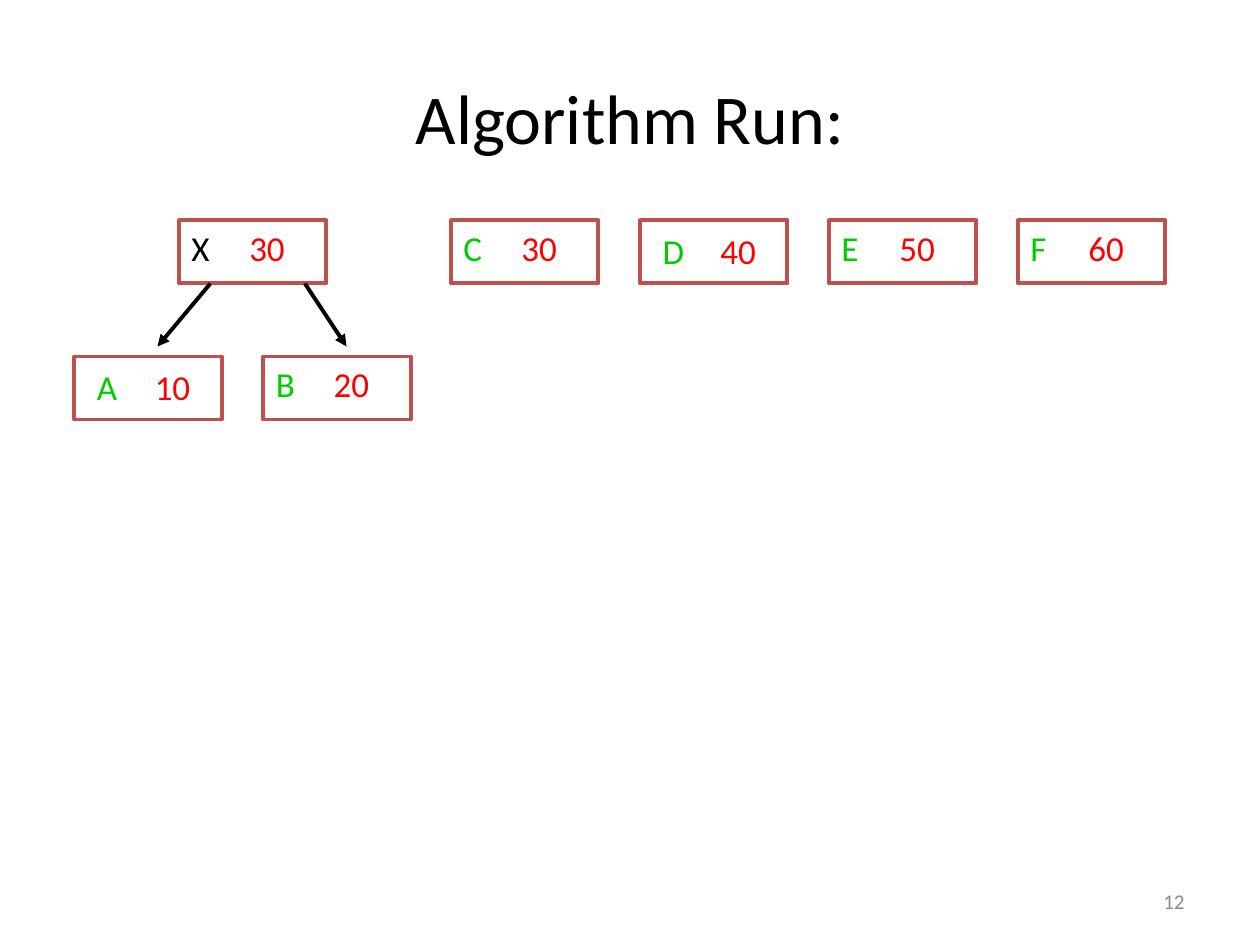
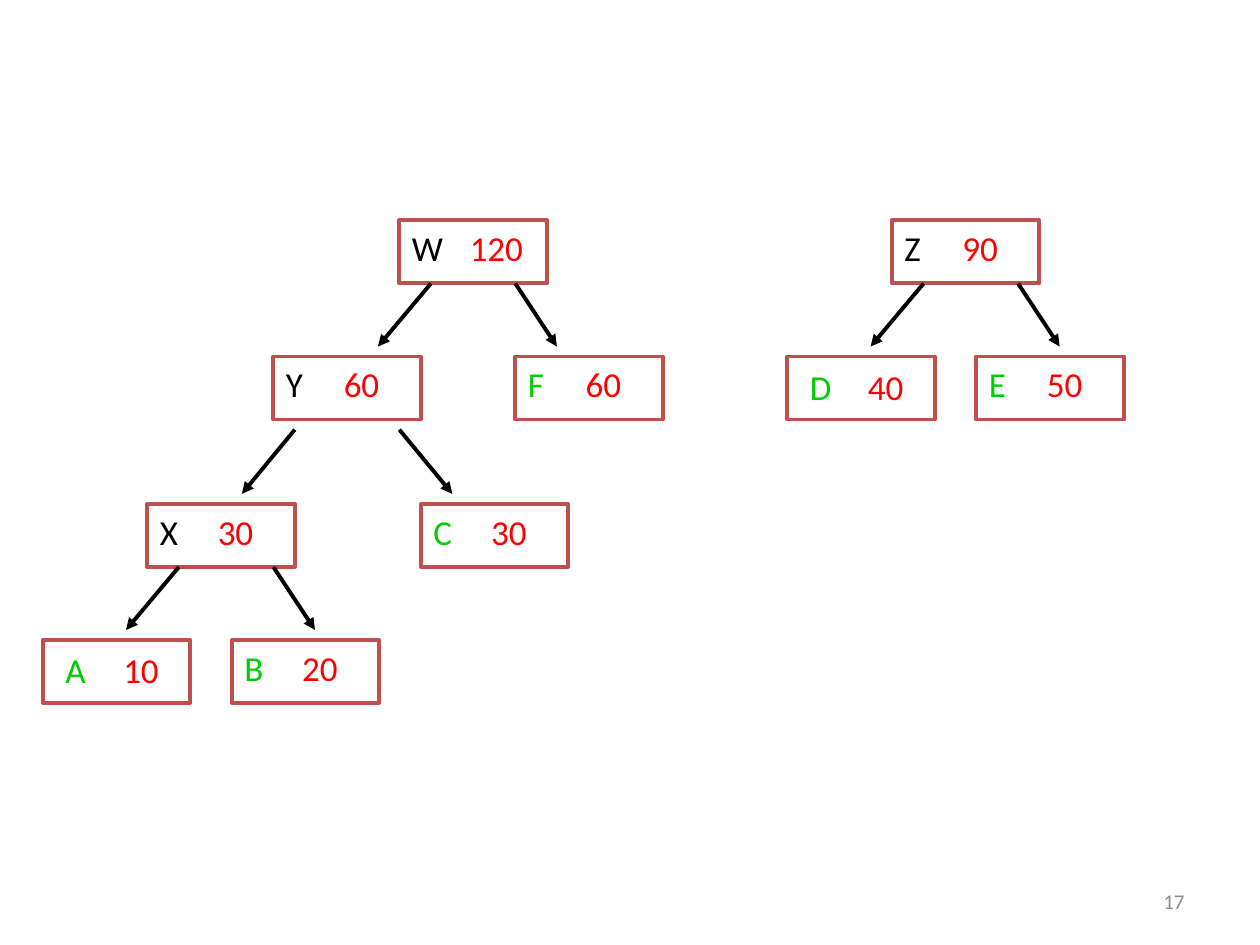
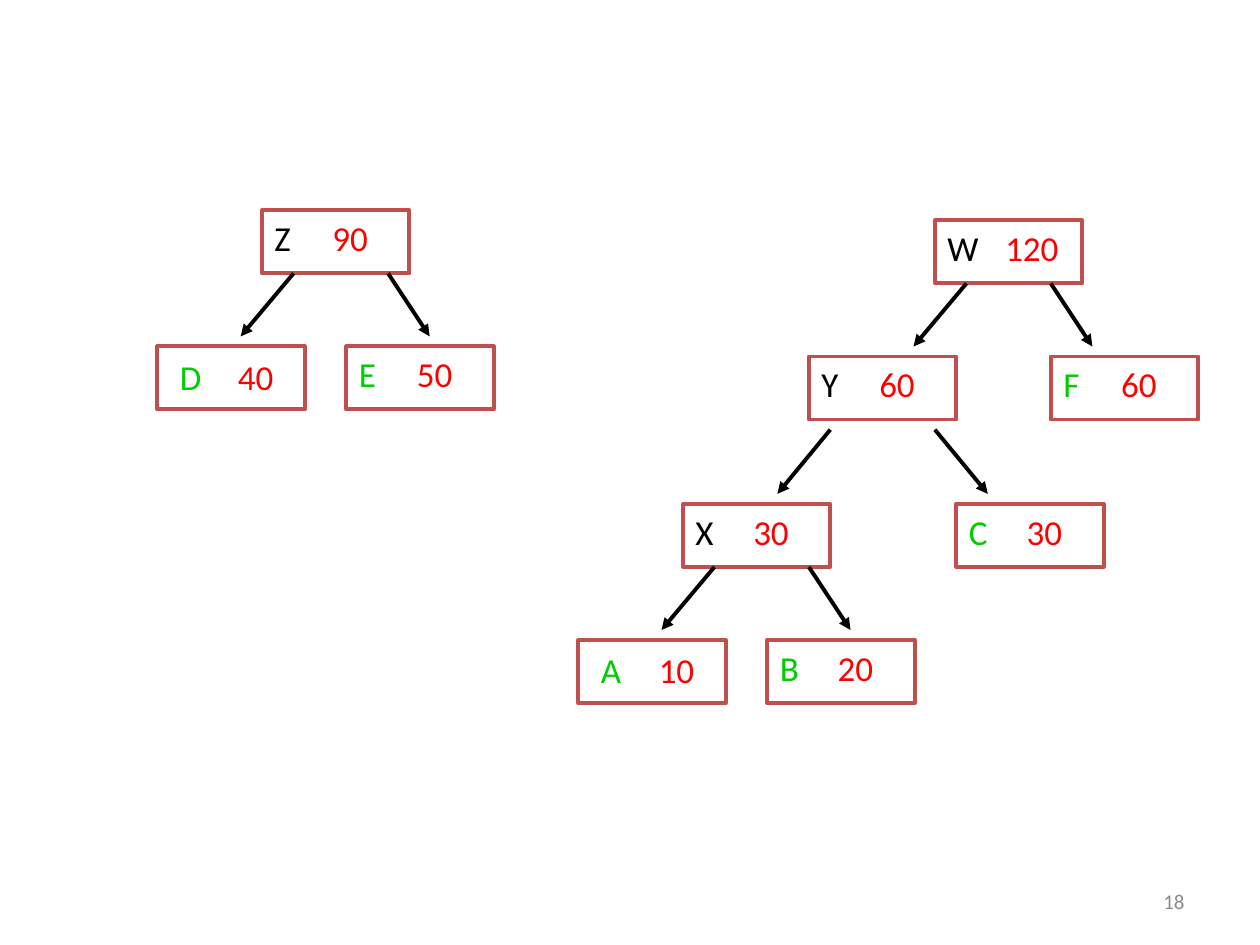
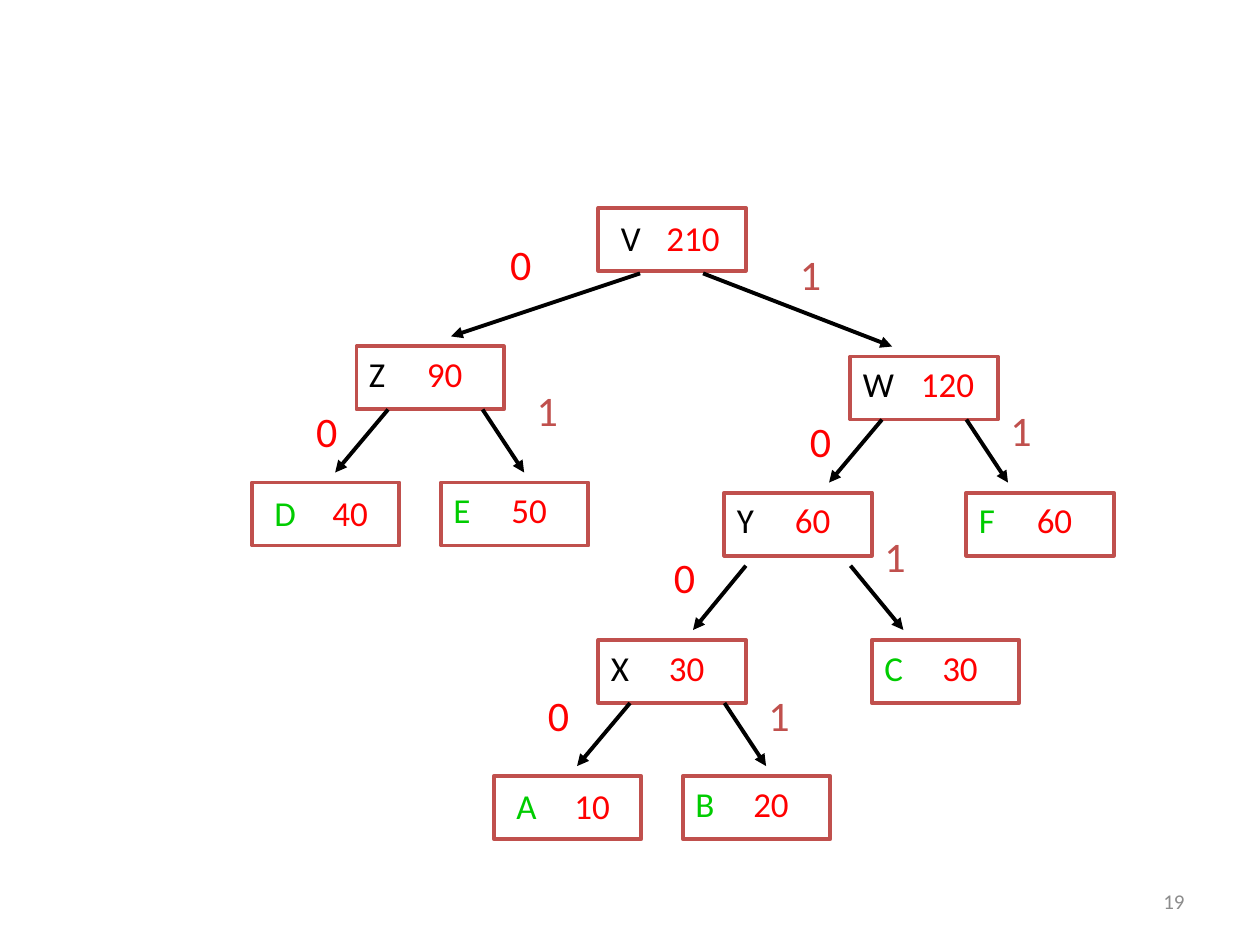
from dataclasses import dataclass

from lxml import etree
from pptx import Presentation
from pptx.dml.color import RGBColor
from pptx.enum.shapes import MSO_CONNECTOR, MSO_SHAPE
from pptx.enum.text import MSO_ANCHOR, PP_ALIGN
from pptx.oxml.ns import qn
from pptx.util import Inches, Pt

RECTANGLE = MSO_SHAPE.RECTANGLE
STRAIGHT = MSO_CONNECTOR.STRAIGHT
MIDDLE = MSO_ANCHOR.MIDDLE
CENTER = PP_ALIGN.CENTER
RIGHT = PP_ALIGN.RIGHT

FONT = "Calibri"
BLACK = "000000"
RED = "FF0000"
GREEN = "00CC00"
BRICK = "C0504D"
GRAY = "8C8C8C"
LINE_WIDTH = 2.25
NODE_WIDTH = 1.17
NODE_HEIGHT = 0.5
ARROW_GAP = 0.08
WEIGHT_TAB = 0.46
NARROW_TAB = 0.36
TITLE_ONLY = 5
BLANK = 6

WEIGHTS = {"A": 10, "B": 20, "C": 30, "D": 40, "E": 50, "F": 60,
           "X": 30, "Y": 60, "Z": 90, "W": 120, "V": 210}
INSET_LABELS = "ADV"


@dataclass
class Branch:
    child: str
    offset: tuple
    arrow_start: tuple
    arrow_end_x: float
    bit_offset: tuple


BRANCHES = {
    "X": [Branch("A", (-0.83, 1.08), (0.25, 0.5), -0.17, (-0.5, 0.34)),
          Branch("B", (0.67, 1.08), (1, 0.5), 1.33, (1.25, 0.34))],
    "Y": [Branch("X", (-1, 1.17), (0.17, 0.58), -0.25, (-0.5, 0.42)),
          Branch("C", (1.17, 1.17), (1, 0.58), 1.42, (1.17, 0.25))],
    "Z": [Branch("D", (-0.83, 1.08), (0.25, 0.5), -0.17, (-0.42, 0.42)),
          Branch("E", (0.67, 1.08), (1, 0.5), 1.33, (1.33, 0.25))],
    "W": [Branch("Y", (-1, 1.08), (0.25, 0.5), -0.17, (-0.42, 0.42)),
          Branch("F", (0.92, 1.08), (0.92, 0.5), 1.25, (1.17, 0.33))],
    "V": [Branch("Z", (-1.92, 1.1), (0.33, 0.52), -1.17, (-0.8, 0.19)),
          Branch("W", (2, 1.18), (0.83, 0.52), 2.33, (1.5, 0.27))],
}


def color(value):
    return RGBColor.from_string(value)


def format_span(span, size, value):
    span.font.name = FONT
    span.font.size = Pt(size)
    span.font.color.rgb = color(value)


def add_text(page, text, left, top, width, height, size, value):
    box = page.shapes.add_textbox(Inches(left), Inches(top), Inches(width), Inches(height))
    box.text_frame.word_wrap = True
    para = box.text_frame.paragraphs[0]
    para.text = text
    format_span(para.runs[0], size, value)
    return box


def add_title(page, text):
    title = page.shapes.title
    title.left, title.top = Inches(0.5), Inches(0.3)
    title.width, title.height = Inches(9), Inches(1.25)
    title.text_frame.text = text
    title.text_frame.vertical_anchor = MIDDLE
    para = title.text_frame.paragraphs[0]
    para.alignment = CENTER
    format_span(para.runs[0], 40, BLACK)


def add_page_number(page, number):
    box = add_text(page, str(number), 7.17, 6.95, 2.33, 0.4, 12, GRAY)
    box.text_frame.vertical_anchor = MIDDLE
    box.text_frame.paragraphs[0].alignment = RIGHT


def add_tab_stop(para, position):
    stops = etree.SubElement(para._p.get_or_add_pPr(), qn("a:tabLst"))
    etree.SubElement(stops, qn("a:tab"), pos=str(Inches(position)), algn="l")


def add_node(page, letter, left, top):
    frame = page.shapes.add_shape(
        RECTANGLE, Inches(left), Inches(top), Inches(NODE_WIDTH), Inches(NODE_HEIGHT))
    frame.shadow.inherit = False
    frame.fill.background()
    frame.line.color.rgb = color(BRICK)
    frame.line.width = Pt(LINE_WIDTH)

    if letter in INSET_LABELS:
        left, top = left + 0.08, top + 0.02
    letter_color = BLACK if letter in BRANCHES else GREEN
    label = add_text(page, f"{letter}\t", left, top, 1.08, 0.43, 20, letter_color)
    para = label.text_frame.paragraphs[0]
    add_tab_stop(para, NARROW_TAB if letter == "V" else WEIGHT_TAB)
    weight = para.add_run()
    weight.text = str(WEIGHTS[letter])
    format_span(weight, 20, RED)


def add_arrow(page, start_x, start_y, end_x, end_y):
    arrow = page.shapes.add_connector(
        STRAIGHT, Inches(start_x), Inches(start_y), Inches(end_x), Inches(end_y))
    arrow.line.color.rgb = color(BLACK)
    arrow.line.width = Pt(LINE_WIDTH)
    etree.SubElement(arrow.line._get_or_add_ln(), qn("a:tailEnd"), type="triangle")
    etree.SubElement(arrow._element.spPr, qn("a:effectLst"))


def add_bit(page, bit, left, top):
    add_text(page, str(bit), left, top, 0.39, 0.5, 24, BRICK if bit else RED)


def add_tree(page, letter, left, top, show_bits=False):
    add_node(page, letter, left, top)
    for bit, branch in enumerate(BRANCHES.get(letter, [])):
        child_left, child_top = left + branch.offset[0], top + branch.offset[1]
        add_tree(page, branch.child, child_left, child_top, show_bits)
        add_arrow(page, left + branch.arrow_start[0], top + branch.arrow_start[1],
                  left + branch.arrow_end_x, child_top - ARROW_GAP)
        if show_bits:
            add_bit(page, bit, left + branch.bit_offset[0], top + branch.bit_offset[1])


def add_page(deck, number, trees, title=None, show_bits=False):
    page = deck.slides.add_slide(deck.slide_layouts[TITLE_ONLY if title else BLANK])
    if title:
        add_title(page, title)
    for letter, left, top in trees:
        add_tree(page, letter, left, top, show_bits)
    add_page_number(page, number)


def main():
    deck = Presentation()
    deck.slide_width, deck.slide_height = Inches(10), Inches(7.5)
    single_nodes = [(letter, 3.58 + 1.5 * column, 1.75)
                    for column, letter in enumerate("CDEF")]
    add_page(deck, 12, [("X", 1.42, 1.75)] + single_nodes, title="Algorithm Run:")
    add_page(deck, 17, [("W", 3.17, 1.75), ("Z", 7.08, 1.75)])
    add_page(deck, 18, [("Z", 2.08, 1.67), ("W", 7.42, 1.75)])
    add_page(deck, 19, [("V", 4.75, 1.65)], show_bits=True)
    deck.save("out.pptx")


if __name__ == "__main__":
    main()
